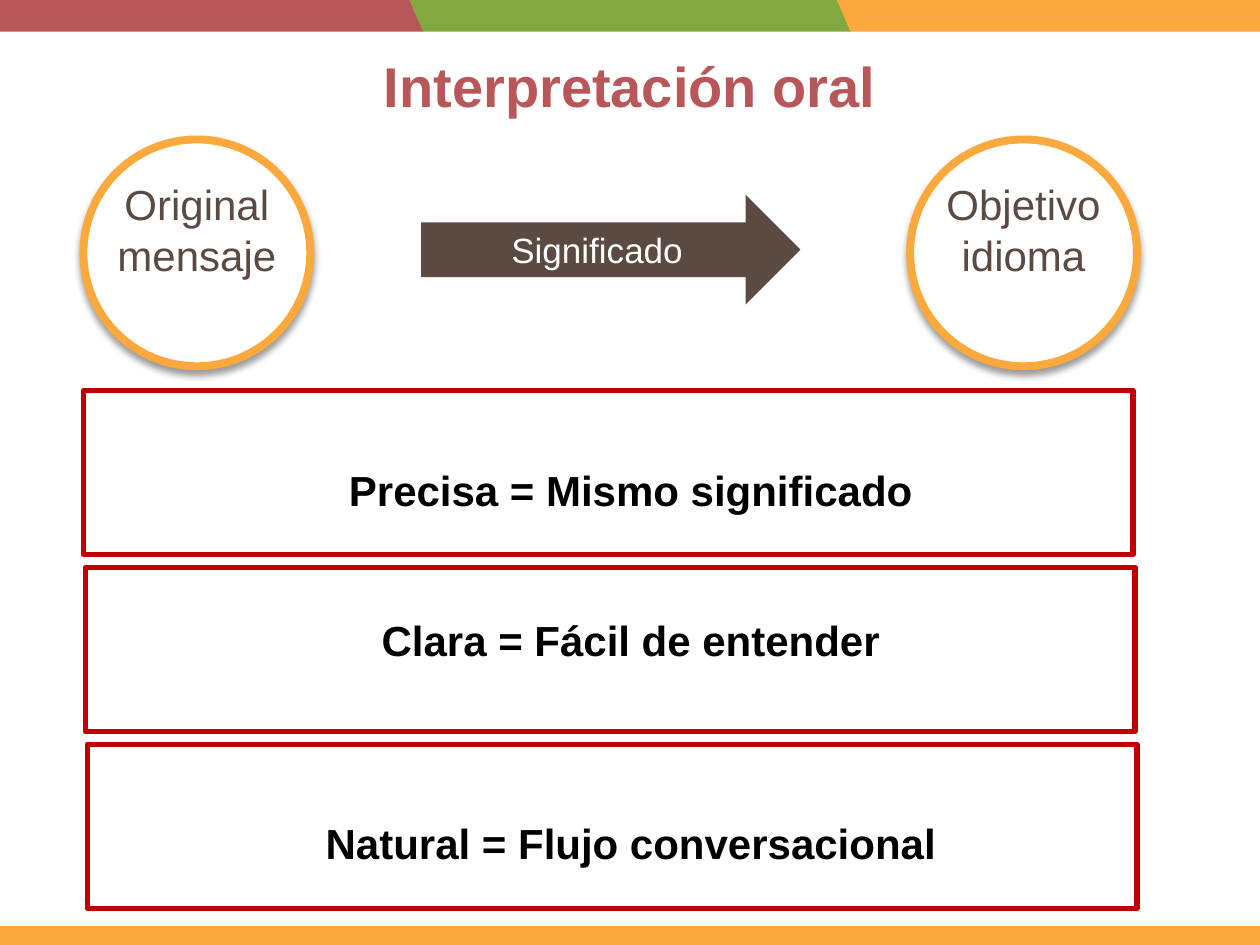
from dataclasses import dataclass

from lxml import etree
from pptx import Presentation
from pptx.dml.color import RGBColor
from pptx.enum import shapes as sh, text as tx
from pptx.oxml import ns
from pptx.util import Pt


@dataclass(frozen=True)
class Theme:
    font: str = "Arial"
    red: str = "B95659"
    green: str = "83A83F"
    gold: str = "FBA93D"
    brown: str = "5B4A42"
    frame: str = "C00000"
    white: str = "FFFFFF"
    black: str = "000000"
    title: int = 32
    body: int = 24
    label: int = 20


T = Theme()
KIND = sh.MSO_SHAPE


def add_shape(slide, kind, box, fill=None, line=None, width=0):
    shape = slide.shapes.add_shape(kind, *map(Pt, box))
    shape.shadow.inherit = False
    if fill:
        shape.fill.solid()
        shape.fill.fore_color.rgb = RGBColor.from_string(fill)
    else:
        shape.fill.background()
    if line:
        shape.line.color.rgb = RGBColor.from_string(line)
        shape.line.width = Pt(width)
    else:
        shape.line.fill.background()
    return shape


def write(shape, words, size, color, bold=False, anchor="TOP", wrap=True):
    frame = shape.text_frame
    frame.text = words
    frame.word_wrap = wrap
    frame.vertical_anchor = tx.MSO_ANCHOR[anchor]
    for para in frame.paragraphs:
        para.alignment = tx.PP_ALIGN.CENTER
        for run in para.runs:
            run.font.name = T.font
            run.font.size = Pt(size)
            run.font.bold = bold
            run.font.color.rgb = RGBColor.from_string(color)
    return frame.paragraphs


def add_glow(shape):
    """Soft shadow below the shape."""
    effects = shape.element.spPr.find(ns.qn("a:effectLst"))
    shade = etree.SubElement(effects, ns.qn("a:outerShdw"), blurRad=str(Pt(4)),
                             dist=str(Pt(3)), dir="5400000", rotWithShape="0")
    color = etree.SubElement(shade, ns.qn("a:srgbClr"), val=T.black)
    etree.SubElement(color, ns.qn("a:alpha"), val="40000")


def add_bands(slide, box):
    """Slanted top bands and the bottom bar."""
    x, y, w, h = box
    for left, color in ((478, T.gold), (-10, T.red), (234, T.green)):
        band = add_shape(slide, KIND.PARALLELOGRAM, (x + left, y, 252, 18), color)
        band.adjustments[0] = 0.436
        band.element.spPr.xfrm.set("flipH", "1")
    add_shape(slide, KIND.RECTANGLE, (x, y + h - 10.8, w, 10.8), T.gold)


def add_title(slide, box, words):
    title = slide.shapes.add_textbox(*map(Pt, box))
    write(title, words, T.title, T.red, bold=True)[0].line_spacing = 0.9


def add_flow(slide, box, start, link, end):
    """Two circles with an arrow between them."""
    x, y, w, h = box
    for left, words in ((x, start), (x + w - h, end)):
        disc = add_shape(slide, KIND.OVAL, (left, y, h, h), T.white, T.gold, 4.5)
        add_glow(disc)
        write(disc, words, T.body, T.brown, wrap=False)
    arrow = add_shape(slide, KIND.RIGHT_ARROW, (x + 193, y + 31.7, 216.7, 62.6), T.brown)
    write(arrow, link, T.label, T.white, anchor="MIDDLE")


def add_traits(slide, box, lines):
    """Stacked frames with one text running over them."""
    x, y, w, h = box
    for i in range(len(lines)):
        add_shape(slide, KIND.RECTANGLE, (x + 1.1 * i, y + 101.1 * i, w, h),
                  line=T.frame, width=3)
    note = slide.shapes.add_textbox(Pt(x + 129.5), Pt(y + 38.9), Pt(366.5), Pt(239.8))
    paras = write(note, "\n".join(lines), T.body, T.black, bold=True, wrap=False)
    for para, gap in zip(paras[1:], (57, 87)):
        para.space_before = Pt(gap)


def main():
    deck = Presentation()
    deck.slide_width, deck.slide_height = Pt(720), Pt(540)
    slide = deck.slides.add_slide(deck.slide_layouts[6])
    add_bands(slide, (0, 0, 720, 540))
    add_title(slide, (49.7, 30.2, 620.6, 104.4), "Interpretación oral")
    add_flow(slide, (47.7, 79.7, 602, 129.6),
             "Original\nmensaje", "Significado", "Objetivo\nidioma")
    add_traits(slide, (47.7, 223.1, 599.8, 93.8),
               ("Precisa = Mismo significado", "Clara = Fácil de entender",
                "Natural = Flujo conversacional"))
    deck.save("out.pptx")


if __name__ == "__main__":
    main()
